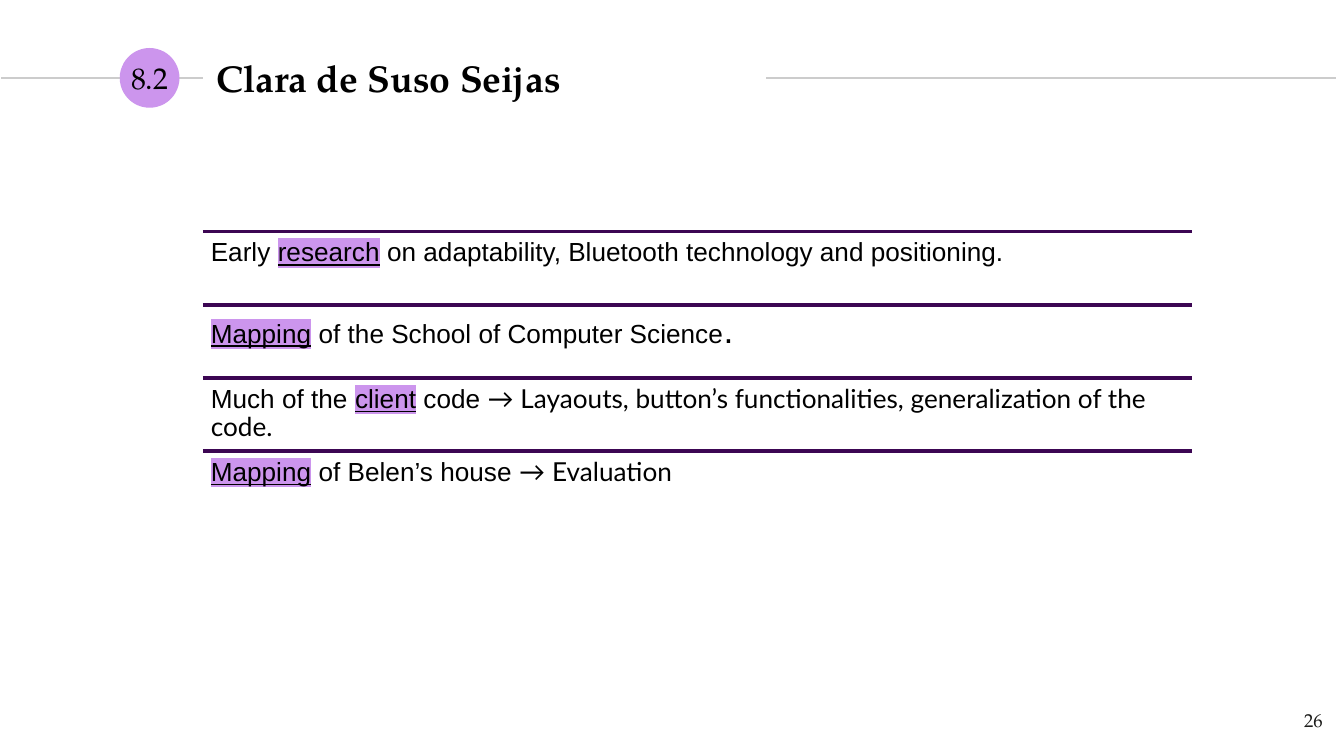
from lxml.etree import SubElement
from pptx import Presentation
from pptx.dml.color import RGBColor
from pptx.enum.shapes import MSO_CONNECTOR, MSO_SHAPE
from pptx.enum.text import MSO_ANCHOR, PP_ALIGN
from pptx.oxml.ns import qn
from pptx.util import Pt

COLORS = {
    "text": "000000",
    "number": "1D1D1B",
    "accent": "CC95ED",
    "rule": "CCCCCC",
    "divider": "3C0653",
}
SERIF, SANS, LATO = "TeX Gyre Pagella", "Arial", "Lato"

TASKS = [
    [("Early ", {}), ("research", {"marked": True}),
     (" on adaptability, Bluetooth technology and positioning.", {})],
    [("Mapping", {"marked": True}),
     (" of the School of Computer Science", {}), (".", {"size": 19})],
    [("Much of the ", {}), ("client", {"marked": True}), (" code ", {}),
     ("→ Layaouts, button’s functionalities, generalization of the code.",
      {"font": LATO})],
    [("Mapping", {"marked": True}), (" of Belen’s house ", {}),
     ("→ Evaluation", {"font": LATO})],
]


def add_rule(page, left, right, y, color, weight):
    rule = page.shapes.add_connector(
        MSO_CONNECTOR.STRAIGHT, Pt(left), Pt(y), Pt(right), Pt(y))
    rule.line.color.rgb = RGBColor.from_string(COLORS[color])
    rule.line.width = Pt(weight)
    SubElement(rule._element.spPr, qn("a:effectLst"))


def add_span(para, text, size=14, font=SANS, color="text", bold=False, marked=False):
    span = para.add_run()
    span.text = text
    span.font.size = Pt(size)
    span.font.name = font
    span.font.bold = bold
    span.font.color.rgb = RGBColor.from_string(COLORS[color])
    if marked:
        span.font.underline = True
        properties = span._r.get_or_add_rPr()
        highlight = SubElement(properties, qn("a:highlight"))
        SubElement(highlight, qn("a:srgbClr")).set("val", COLORS["accent"])
        properties.find(qn("a:solidFill")).addnext(highlight)


def add_text(page, left, top, width, height, spans, inset=7.2,
             align=PP_ALIGN.LEFT, anchor=MSO_ANCHOR.TOP):
    box = page.shapes.add_textbox(Pt(left), Pt(top), Pt(width), Pt(height))
    frame = box.text_frame
    frame.word_wrap = True
    frame.vertical_anchor = anchor
    frame.margin_left = frame.margin_right = Pt(inset)
    frame.margin_top = frame.margin_bottom = Pt(inset)
    para = frame.paragraphs[0]
    para.alignment = align
    for text, style in spans:
        add_span(para, text, **style)
    return para


def add_header(page, left, top, width, height, number, title):
    middle = top + height / 2
    title_left, title_width, diameter = left + 108, 305.3, 32
    circle_left = left + 63.4
    add_rule(page, left, title_left, middle, "rule", 0.75)
    circle = page.shapes.add_shape(
        MSO_SHAPE.OVAL, Pt(circle_left), Pt(middle - diameter / 2),
        Pt(diameter), Pt(diameter))
    circle.shadow.inherit = False
    circle.fill.solid()
    circle.fill.fore_color.rgb = RGBColor.from_string(COLORS["accent"])
    circle.line.fill.background()
    add_rule(page, left + 409.7, left + width, middle, "rule", 0.75)
    add_text(page, title_left, top, title_width, height,
             [(title, {"size": 20, "font": SERIF, "bold": True})],
             anchor=MSO_ANCHOR.MIDDLE)
    add_text(page, circle_left + diameter / 2 - 23.4, top, 46.8, height,
             [(number, {"size": 16, "font": SERIF})],
             align=PP_ALIGN.CENTER, anchor=MSO_ANCHOR.MIDDLE)


def add_task_list(page, left, top, width, height, tasks):
    row_height = height / len(tasks)
    for index, spans in enumerate(tasks):
        y = top + index * row_height
        add_rule(page, left, left + width, y, "divider", 2)
        para = add_text(page, left, y, width, row_height, spans, inset=4.2)
        para.line_spacing = 0.9
        para.space_after = Pt(5)


def add_page_number(page, left, top, width, height, number):
    add_text(page, left, top, width, height,
             [(number, {"size": 10, "font": SERIF, "color": "number"})],
             align=PP_ALIGN.RIGHT)


def main():
    deck = Presentation()
    deck.slide_width, deck.slide_height = Pt(720), Pt(405)
    page = deck.slides.add_slide(deck.slide_layouts[6])
    add_header(page, 0.75, 24.5, 715, 34.5, "8.2", "Clara de Suso Seijas")
    add_page_number(page, 672.5, 373.5, 43.2, 31, "26")
    add_task_list(page, 108.75, 124, 530, 157, TASKS)
    deck.save("out.pptx")


if __name__ == "__main__":
    main()
